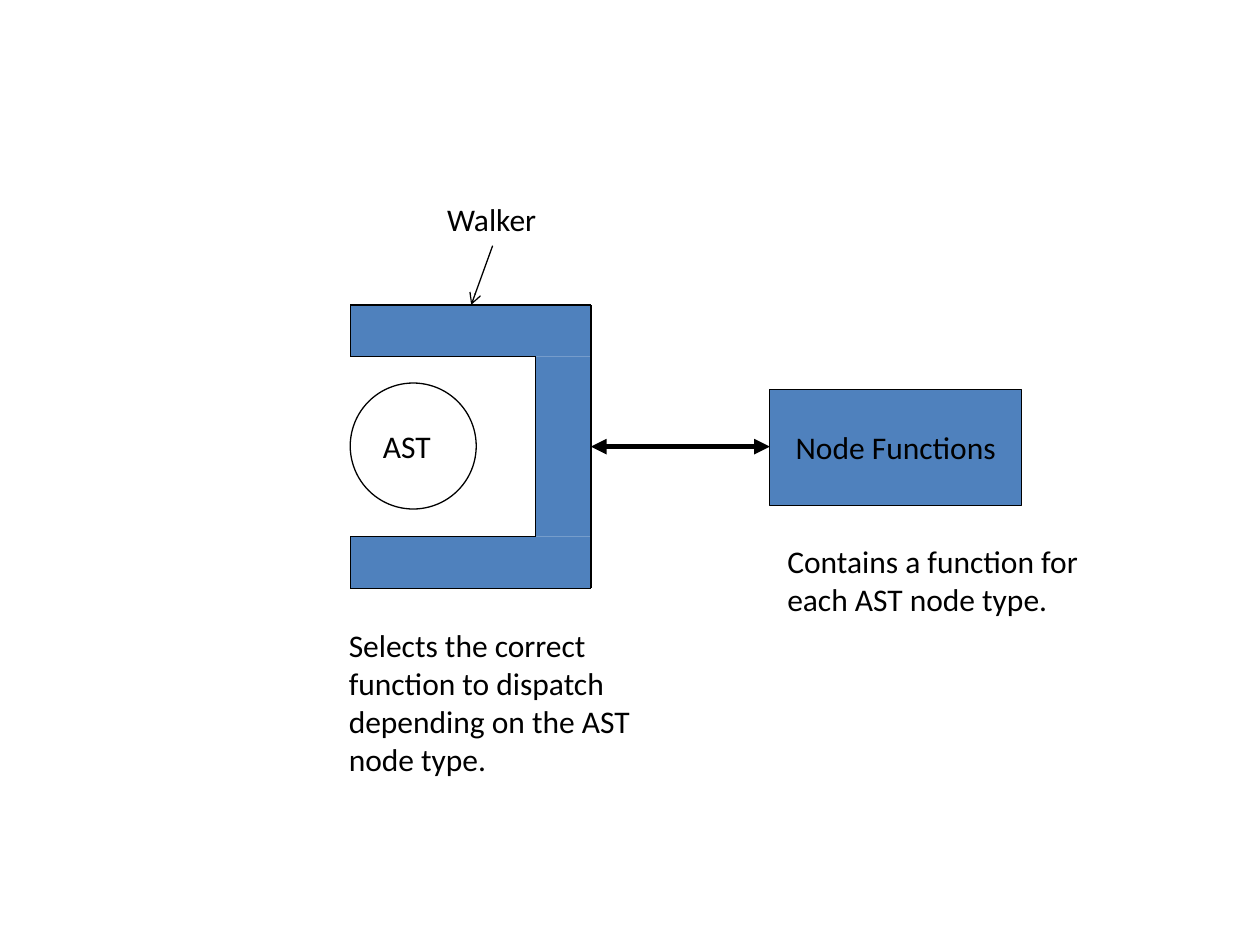
from dataclasses import dataclass
from itertools import pairwise
from typing import Optional

from lxml.etree import SubElement
from pptx import Presentation
from pptx.dml.color import RGBColor
from pptx.enum.shapes import MSO_CONNECTOR, MSO_SHAPE
from pptx.enum.text import MSO_ANCHOR, MSO_AUTO_SIZE, PP_ALIGN
from pptx.oxml.ns import qn
from pptx.util import Inches, Pt


@dataclass(frozen=True)
class Theme:
    ink: RGBColor = RGBColor(0x00, 0x00, 0x00)
    blue: RGBColor = RGBColor(0x4F, 0x81, 0xBD)
    font: str = "Calibri"
    text_size: float = 18
    thin: float = 0.75
    thick: float = 3


@dataclass(frozen=True)
class Area:
    left: float
    top: float
    width: float
    height: float

    def lengths(self) -> list:
        return [Inches(v) for v in (self.left, self.top, self.width, self.height)]


@dataclass(frozen=True)
class Label:
    text: str
    area: Area


THEME = Theme()

LABELS = [
    Label("Selects the correct\vfunction to dispatch\vdepending on the AST\vnode type.",
          Area(2.67, 4.92, 2.46, 1.31)),
    Label("Contains a function for\veach AST node type.", Area(6.15, 4.25, 2.54, 0.71)),
    Label("Walker", Area(3.45, 1.54, 0.93, 0.4)),
]
TREE_LABEL = Label("AST", Area(2.94, 3.34, 0.63, 0.37))
TREE_CIRCLE = Area(2.78, 3.04, 1, 1)
NODE_FUNCTIONS = Label("Node Functions", Area(6.11, 3.09, 2, 0.92))

# Walker bracket: outer edges, and the inner edges of its opening
LEFT, INNER, RIGHT = 2.78, 4.25, 4.69
TOP, OPENING_TOP, OPENING_BOTTOM, BOTTOM = 2.42, 2.83, 4.26, 4.67


def format_text(frame, text: str) -> None:
    frame.text = text
    frame.word_wrap = False
    for paragraph in frame.paragraphs:
        for span in paragraph.runs:
            span.font.name = THEME.font
            span.font.size = Pt(THEME.text_size)
            span.font.color.rgb = THEME.ink


def add_label(shapes, label: Label) -> None:
    box = shapes.add_textbox(*label.area.lengths())
    format_text(box.text_frame, label.text)
    box.text_frame.auto_size = MSO_AUTO_SIZE.SHAPE_TO_FIT_TEXT


def add_figure(shapes, kind: MSO_SHAPE, area: Area,
               fill: Optional[RGBColor] = None, outlined: bool = True):
    figure = shapes.add_shape(kind, *area.lengths())
    figure.shadow.inherit = False
    if fill is None:
        figure.fill.background()
    else:
        figure.fill.solid()
        figure.fill.fore_color.rgb = fill
    if outlined:
        figure.line.color.rgb = THEME.ink
        figure.line.width = Pt(THEME.thin)
    else:
        figure.line.fill.background()
    return figure


def add_line(shapes, start: tuple, end: tuple, width: float = THEME.thin,
             head: Optional[str] = None, tail: Optional[str] = None) -> None:
    line = shapes.add_connector(MSO_CONNECTOR.STRAIGHT,
                                *[Inches(v) for v in (*start, *end)])
    line.line.color.rgb = THEME.ink
    line.line.width = Pt(width)
    outline = line.line._get_or_add_ln()
    for tag, arrow in (("a:headEnd", head), ("a:tailEnd", tail)):
        if arrow:
            SubElement(outline, qn(tag), type=arrow)
    SubElement(line._element.spPr, qn("a:effectLst"))


def add_walker(shapes) -> None:
    arm = TOP, OPENING_BOTTOM
    for top in arm:
        add_figure(shapes, MSO_SHAPE.RECTANGLE,
                   Area(LEFT, top, RIGHT - LEFT, OPENING_TOP - TOP), THEME.blue, False)
    add_figure(shapes, MSO_SHAPE.RECTANGLE,
               Area(INNER, OPENING_TOP, RIGHT - INNER, OPENING_BOTTOM - OPENING_TOP),
               THEME.blue, False)
    corners = [(LEFT, OPENING_TOP), (INNER, OPENING_TOP), (INNER, OPENING_BOTTOM),
               (LEFT, OPENING_BOTTOM), (LEFT, BOTTOM), (RIGHT, BOTTOM),
               (RIGHT, TOP), (LEFT, TOP), (LEFT, OPENING_TOP)]
    for start, end in pairwise(corners):
        add_line(shapes, start, end)


def main() -> None:
    deck = Presentation()
    deck.slide_width, deck.slide_height = Inches(10), Inches(7.5)
    page = deck.slides.add_slide(deck.slide_layouts[6])
    shapes = page.shapes

    # Tree being walked
    tree = shapes.add_group_shape().shapes
    add_figure(tree, MSO_SHAPE.OVAL, TREE_CIRCLE)
    add_label(tree, TREE_LABEL)

    # Node functions box
    box = add_figure(shapes, MSO_SHAPE.RECTANGLE, NODE_FUNCTIONS.area, THEME.blue)
    format_text(box.text_frame, NODE_FUNCTIONS.text)
    box.text_frame.vertical_anchor = MSO_ANCHOR.MIDDLE
    box.text_frame.paragraphs[0].alignment = PP_ALIGN.CENTER

    # Walker and its link to the functions
    middle = (TOP + BOTTOM) / 2
    add_line(shapes, (RIGHT, middle), (NODE_FUNCTIONS.area.left, middle),
             THEME.thick, "triangle", "triangle")
    add_walker(shapes.add_group_shape().shapes)

    # Captions and pointer
    for label in LABELS:
        add_label(shapes, label)
    add_line(shapes, (3.91, 1.95), (3.74, TOP), tail="arrow")

    deck.save("out.pptx")


if __name__ == "__main__":
    main()
